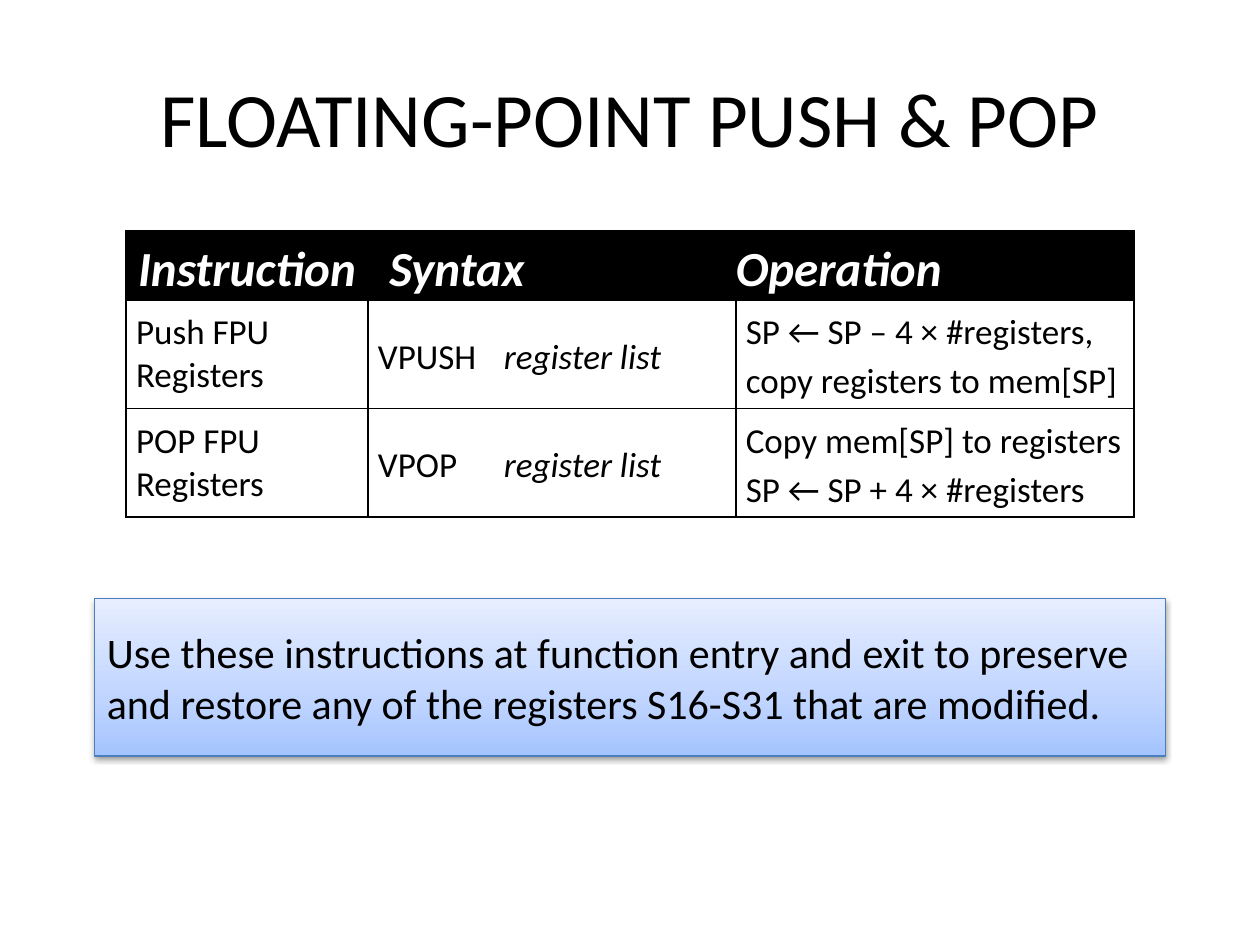
from copy import deepcopy

from lxml import etree
from pptx import Presentation
from pptx.dml.color import RGBColor
from pptx.enum.shapes import MSO_SHAPE
from pptx.enum.text import MSO_ANCHOR, PP_ALIGN
from pptx.oxml import parse_xml
from pptx.oxml.ns import nsdecls, qn
from pptx.util import Inches, Pt

LEFT, CENTER = PP_ALIGN.LEFT, PP_ALIGN.CENTER
TOP, MIDDLE = MSO_ANCHOR.TOP, MSO_ANCHOR.MIDDLE
TITLE_ONLY = 5

TITLE = "FLOATING-POINT PUSH & POP"
# heading, alignment, left margin
HEADERS = [("Instruction", CENTER, 0), ("Syntax", LEFT, 0.17), ("Operation", LEFT, 0)]
# name, mnemonic, operand, operation lines
INSTRUCTIONS = [
    ("Push FPU Registers", "VPUSH", "register list",
     ["SP ← SP – 4 × #registers,", "copy registers to mem[SP]"]),
    ("POP FPU Registers", "VPOP", "register list",
     ["Copy mem[SP] to registers", "SP ← SP + 4 × #registers"]),
]
NOTE = ("Use these instructions at function entry and exit to preserve "
        "and restore any of the registers S16-S31 that are modified.")

COLUMN_WIDTHS = [1.92, 2.92, 3.16]
ROW_HEIGHTS = [0.55, 0.86, 0.86]
OPERAND_TAB = 1
NOTE_GRADIENT = [(0, "A4C4FF"), (0.35, "BFD4FF"), (1, "E6EEFF")]

HEADER_FONT = {"size": Pt(28), "bold": True, "italic": True}
BODY_FONT = {"size": Pt(20), "bold": False, "italic": False}
OPERAND_FONT = {**BODY_FONT, "italic": True}


def rgb(value):
    return RGBColor.from_string(value)


def add_run(p, text, color="000000", **font):
    r = p.add_run()
    r.text = text
    r.font.name = "Calibri"
    r.font.color.rgb = rgb(color)
    for name, value in font.items():
        setattr(r.font, name, value)


def format_cell(cell, anchor, margins):
    cell.vertical_anchor = anchor
    sides = ("left", "top", "right", "bottom")
    for side, margin in zip(sides, margins):
        setattr(cell, f"margin_{side}", Inches(margin))
    tc_pr = cell._tc.get_or_add_tcPr()
    for i, tag in enumerate(("lnL", "lnR", "lnT", "lnB")):
        tc_pr.insert(i, parse_xml(
            f'<a:{tag} {nsdecls("a")} w="12700"><a:solidFill>'
            f'<a:srgbClr val="000000"/></a:solidFill></a:{tag}>'))


def add_tab(p, position):
    tabs = etree.SubElement(p._p.get_or_add_pPr(), qn("a:tabLst"))
    etree.SubElement(tabs, qn("a:tab"), pos=str(Inches(position)), algn="l")


def fill_cell(cell, lines, spacing=1.15, tab=None):
    """Write lines, each a list of (text, font) runs, into a body cell."""
    cell.fill.background()
    format_cell(cell, MIDDLE, (0.08, 0.04, 0.08, 0.04))
    tf = cell.text_frame
    for i, runs in enumerate(lines):
        p = tf.add_paragraph() if i else tf.paragraphs[0]
        p.line_spacing = spacing
        if tab:
            add_tab(p, tab)
        for text, font in runs:
            add_run(p, text, **font)


def add_instruction_table(s):
    table = s.shapes.add_table(
        len(ROW_HEIGHTS), len(COLUMN_WIDTHS), Inches(1), Inches(1.83),
        Inches(sum(COLUMN_WIDTHS)), Inches(sum(ROW_HEIGHTS))).table
    table.first_row = table.horz_banding = False
    for column, width in zip(table.columns, COLUMN_WIDTHS):
        column.width = Inches(width)
    for row, height in zip(table.rows, ROW_HEIGHTS):
        row.height = Inches(height)

    for cell, (text, align, margin) in zip(table.rows[0].cells, HEADERS):
        cell.fill.solid()
        cell.fill.fore_color.rgb = rgb("000000")
        format_cell(cell, TOP, (margin, 0, 0, 0))
        p = cell.text_frame.paragraphs[0]
        p.alignment, p.line_spacing = align, 1.15
        add_run(p, text, "FFFFFF", **HEADER_FONT)

    for i, (name, mnemonic, operand, operation) in enumerate(INSTRUCTIONS, 1):
        fill_cell(table.cell(i, 0), [[(name, BODY_FONT)]], spacing=1.0)
        syntax = [(mnemonic + "\t", BODY_FONT), (operand, OPERAND_FONT)]
        fill_cell(table.cell(i, 1), [syntax], tab=OPERAND_TAB)
        fill_cell(table.cell(i, 2), [[(line, BODY_FONT)] for line in operation])


def add_note(s):
    sp = s.shapes.add_shape(MSO_SHAPE.RECTANGLE, Inches(0.75), Inches(4.75),
                            Inches(8.5), Inches(1.25))
    sp.fill.gradient()
    sp.fill.gradient_angle = 90
    stops = sp._element.spPr.find(".//" + qn("a:gsLst"))
    stops.append(deepcopy(stops[0]))
    for stop, (position, color) in zip(sp.fill.gradient_stops, NOTE_GRADIENT):
        stop.position = position
        stop.color.rgb = rgb(color)
    sp.line.color.rgb = rgb("4B7EBC")
    sp.line.width = Pt(0.75)
    sp.shadow.inherit = False
    sp._element.spPr.find(qn("a:effectLst")).append(parse_xml(
        f'<a:outerShdw {nsdecls("a")} blurRad="{Pt(3.1)}" dist="{Pt(1.6)}" '
        'dir="5400000" rotWithShape="0"><a:srgbClr val="000000">'
        '<a:alpha val="38000"/></a:srgbClr></a:outerShdw>'))
    tf = sp.text_frame
    tf.word_wrap = True
    tf.vertical_anchor = MIDDLE
    p = tf.paragraphs[0]
    p.alignment = LEFT
    add_run(p, NOTE, size=Pt(24))


def main():
    prs = Presentation()
    prs.slide_width, prs.slide_height = Inches(10), Inches(7.5)
    s = prs.slides.add_slide(prs.slide_layouts[TITLE_ONLY])

    title = s.shapes.title
    title.left, title.top = Inches(0.5), Inches(0.3)
    title.width, title.height = Inches(9), Inches(1.25)
    title.text_frame.vertical_anchor = MIDDLE
    p = title.text_frame.paragraphs[0]
    p.alignment = CENTER
    add_run(p, TITLE, size=Pt(44))

    add_instruction_table(s)
    add_note(s)
    prs.save("out.pptx")


if __name__ == "__main__":
    main()
